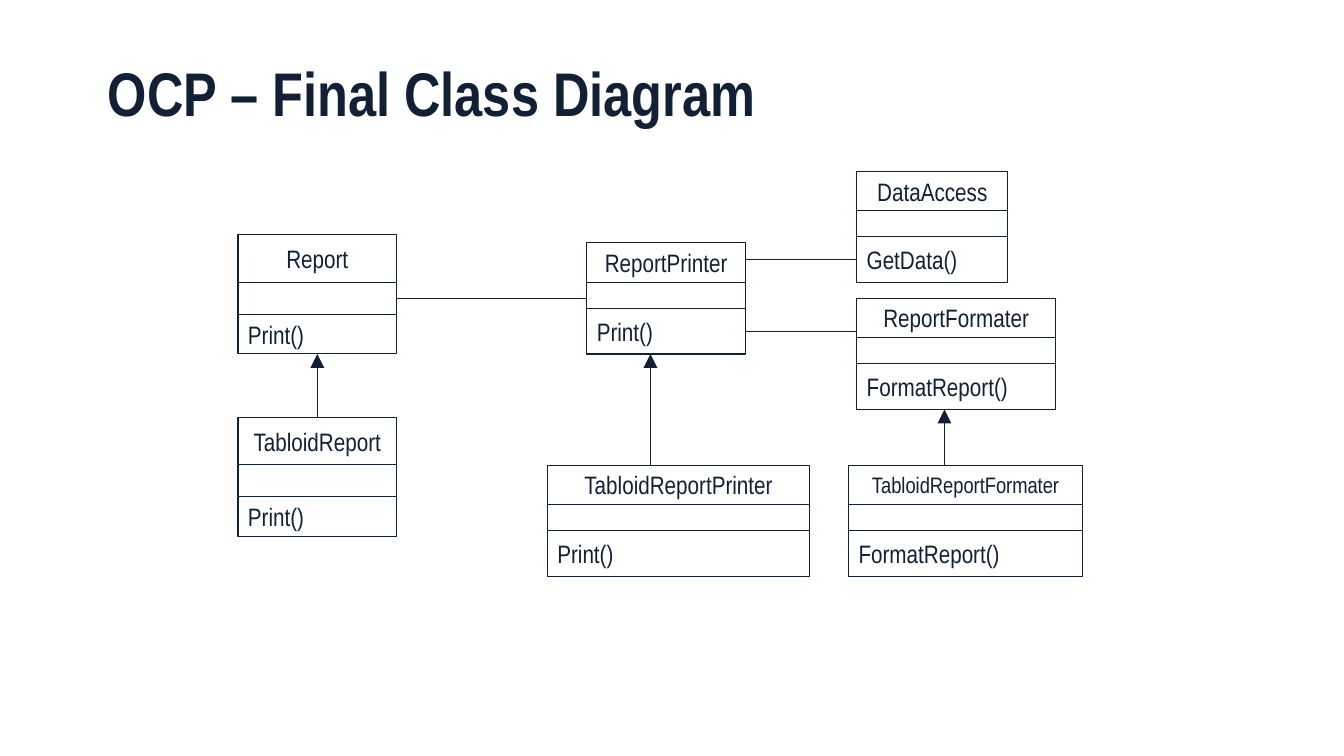
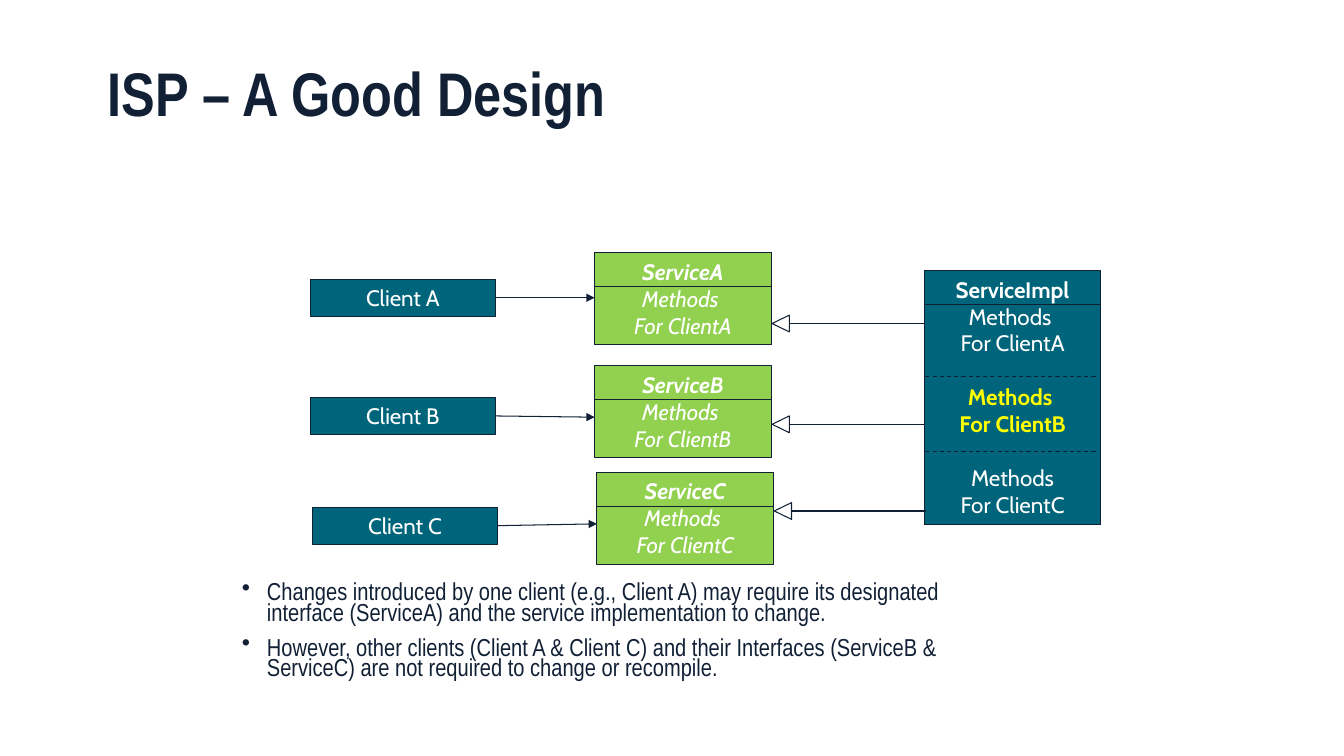
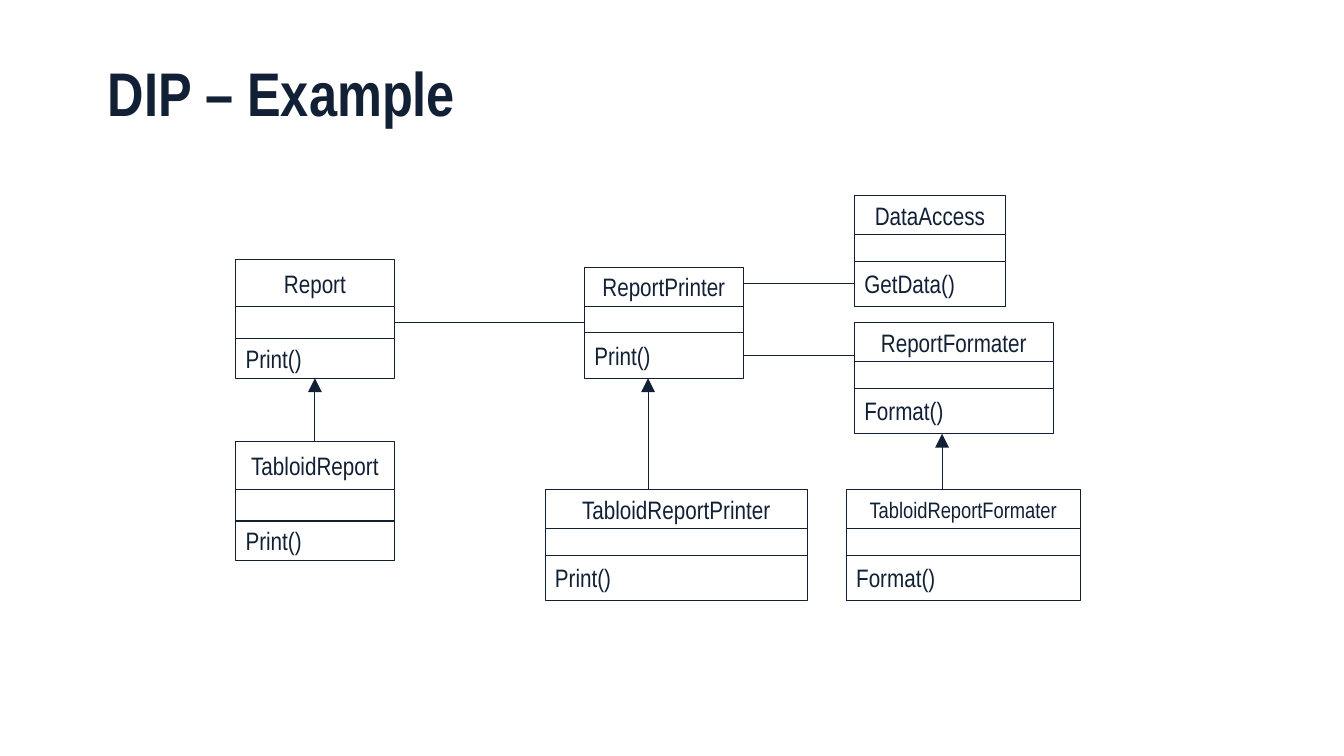
from lxml.etree import SubElement
from pptx import Presentation
from pptx.dml.color import RGBColor
from pptx.enum.dml import MSO_LINE as Dash
from pptx.enum.shapes import MSO_CONNECTOR as Link, MSO_SHAPE as Kind
from pptx.enum.text import MSO_ANCHOR as Anchor, PP_ALIGN as Align
from pptx.oxml.ns import qn
from pptx.util import Pt

# Shared style
INK, WHITE, TEAL, GREEN, YELLOW = "112035", "FFFFFF", "00647A", "92D050", "FFFF00"
NARROW, CABIN = "Arial Narrow", "Cabin"
TOP, LEFT, BOTTOM, RIGHT = range(4)
THIN = 0.75
ROW = 19.2  # one line of 16 pt Cabin

# Heights of the name, field and method parts of a class box
TALL = (34, 22.8, 28.3)
SHORT = (28, 18.8, 32.6)


def color(code):
    return RGBColor.from_string(code)


class Deck:
    def __init__(self):
        self.file = Presentation()
        self.file.slide_width, self.file.slide_height = Pt(960), Pt(540)
        self.slide = None

    def page(self, title):
        self.slide = self.file.slides.add_slide(self.file.slide_layouts[6])
        frame = self.note(70, 28.8, 820, 80.6, Anchor.MIDDLE)
        self.say(frame, title, 44, bold=True).line_spacing = 0.9

    def note(self, x, y, w, h, anchor=Anchor.TOP):
        frame = self.slide.shapes.add_textbox(Pt(x), Pt(y), Pt(w), Pt(h)).text_frame
        frame.word_wrap = True
        frame.vertical_anchor = anchor
        return frame

    def say(self, frame, text, size, font=NARROW, ink=INK, bold=False,
            italic=False, align=Align.LEFT, before=0):
        para = frame.paragraphs[0]
        if para.runs:
            para = frame.add_paragraph()
        para.alignment = align
        para.space_before = Pt(before)
        run = para.add_run()
        run.text = text
        face = run.font
        face.name, face.size, face.bold, face.italic = font, Pt(size), bold, italic
        face.color.rgb = color(ink)
        return para

    def bullet(self, frame, text):
        para = self.say(frame, text, 17.5, before=10)
        para.line_spacing = 0.7
        props = para._p.get_or_add_pPr()
        props.set("marL", str(Pt(18)))
        props.set("indent", str(-Pt(18)))
        SubElement(props, qn("a:buChar")).set("char", "•")

    def paint(self, shape, fill):
        shape.shadow.inherit = False
        shape.fill.solid()
        shape.fill.fore_color.rgb = color(fill)
        shape.line.color.rgb = color(INK)
        shape.line.width = Pt(THIN)

    def box(self, x, y, w, h, fill=WHITE, home=None):
        home = home or self.slide.shapes
        shape = home.add_shape(Kind.RECTANGLE, Pt(x), Pt(y), Pt(w), Pt(h))
        self.paint(shape, fill)
        shape.text_frame.vertical_anchor = Anchor.TOP
        shape.text_frame.word_wrap = True
        return shape

    def label(self, frame, text, **style):
        self.say(frame, text, 16, CABIN, **{"ink": WHITE, "align": Align.CENTER, **style})

    def entity(self, x, y, w, parts, name, method, size=18):
        """Three stacked boxes: name, empty fields, method."""
        home = self.slide.shapes.add_group_shape().shapes
        texts = ((name, size, Align.CENTER), None, (method, 18, Align.LEFT))
        boxes = []
        for high, text in zip(parts, texts):
            part = self.box(x, y, w, high, home=home)
            if text:
                words, points, align = text
                part.text_frame.word_wrap = False
                part.text_frame.vertical_anchor = Anchor.MIDDLE
                self.say(part.text_frame, words, points, align=align)
            boxes.append(part)
            y += high
        return boxes

    def line(self, x1, y1, x2, y2, start=None, end=None, arrow=None, dash=False):
        """start and end are (box, side) pairs; arrow is the size of the tip."""
        wire = self.slide.shapes.add_connector(
            Link.STRAIGHT, Pt(x1), Pt(y1), Pt(x2), Pt(y2))
        if start:
            wire.begin_connect(*start)
        if end:
            wire.end_connect(*end)
        wire.line.color.rgb = color(INK)
        wire.line.width = Pt(THIN)
        if dash:
            wire.line.dash_style = Dash.DASH
        props = wire.element.spPr
        if arrow:
            tip = SubElement(props.find(qn("a:ln")), qn("a:tailEnd"))
            for key, value in (("type", "triangle"), ("w", arrow), ("len", arrow)):
                tip.set(key, value)
        SubElement(props, qn("a:effectLst"))

    def tip(self, x, y):
        """Hollow triangle that points left."""
        pen = self.slide.shapes.build_freeform(Pt(x), Pt(y))
        pen.add_line_segments([(Pt(x + 12.3), Pt(y - 6)), (Pt(x + 12.3), Pt(y + 6))])
        self.paint(pen.convert_to_shape(), WHITE)


def classes(deck, title, x, y, action):
    """Report class diagram; x and y are the corner of the Report class."""
    deck.page(title)
    mid, far = x + 249.2, x + 442
    low = y + 164.6

    # Classes
    data = deck.entity(far, y - 45.4, 108, SHORT, "DataAccess", "GetData()")
    deck.entity(far, y + 45.3, 142, SHORT, "ReportFormater", action)
    printer = deck.entity(mid, y + 5.7, 113.3, SHORT, "ReportPrinter", "Print()")
    report = deck.entity(x, y, 113.3, TALL, "Report", "Print()")
    tabloid = deck.entity(x, y + 130.3, 113.3, TALL, "TabloidReport", "Print()")
    deck.entity(x + 221, low, 187.4, SHORT, "TabloidReportPrinter", "Print()")
    deck.entity(x + 436.2, low, 167.2, SHORT, "TabloidReportFormater", action, 16)

    # Associations
    edge = mid + 113.3
    row = y + 17.7
    deck.line(edge, row, far, row, end=(data[2], LEFT))
    row = y + 68.8
    deck.line(edge, row, far, row, start=(printer[2], RIGHT))
    row = y + 45.4
    deck.line(x + 113.3, row, mid, row, start=(report[1], RIGHT))

    # Inheritance
    axis = x + 56.65
    deck.line(axis, y + 130.3, axis, y + 85.1, arrow="lg",
              start=(tabloid[0], TOP), end=(report[2], BOTTOM))
    for axis, base in ((x + 294.6, y + 85.1), (x + 504.6, y + 124.7)):
        deck.line(axis, low, axis, base, arrow="lg")


def interfaces(deck):
    deck.page("ISP – A Good Design")

    # Conclusions
    frame = deck.note(165.6, 414, 564, 101.5)
    deck.bullet(frame, "Changes introduced by one client (e.g., Client A) may require its "
                "designated interface (ServiceA) and the service implementation to change.")
    deck.bullet(frame, "However, other clients (Client A & Client C) and their Interfaces "
                "(ServiceB & ServiceC) are not required to change or recompile.")

    # Implementation
    frame = deck.box(660.2, 193.5, 126.2, 181.5, TEAL).text_frame
    deck.label(frame, "ServiceImpl", bold=True)
    for key, first, gap, style in (
            ("A", "Methods ", 0, {}),
            ("B", "Methods ", ROW, {"ink": YELLOW, "bold": True}),
            ("C", "Methods", ROW, {})):
        deck.label(frame, first, before=gap, **style)
        deck.label(frame, f"For Client{key}", **style)
    deck.line(660.2, 217.4, 786.4, 217.4)
    for y in (268.6, 322.6):
        deck.line(782.6, y, 660.2, y, dash=True)

    # Clients and their services: shift, client top, service top, arrow end, tip
    for key, shift, client, top, end, tip in (
            ("A", 0, 199.4, 180.7, 212.7, 231.1),
            ("B", 0, 283.8, 261.4, 298, 303.1),
            ("C", 1.6, 362.2, 337.5, 374.2, 365)):
        x = 424.8 + shift
        user = deck.box(221.8 + shift, client, 132, 26.6, TEAL)
        deck.label(user.text_frame, f"Client {key}")
        frame = deck.box(x, top, 126, 65.7, GREEN).text_frame
        deck.label(frame, f"Service{key}", bold=True, italic=True)
        deck.label(frame, "Methods ", italic=True)
        deck.label(frame, f"For Client{key}", italic=True)
        deck.line(x, top + 24.2, x + 126, top + 24.2)
        deck.line(353.8 + shift, client + 13.3, x, end, start=(user, RIGHT), arrow="med")
        deck.tip(x + 126.7, tip)
        deck.line(x + 139, tip, x + 235.4, tip)


def main():
    deck = Deck()
    classes(deck, "OCP – Final Class Diagram", 170, 167.8, "FormatReport()")
    interfaces(deck)
    classes(deck, "DIP – Example", 168.3, 185.1, "Format()")
    deck.file.save("out.pptx")


if __name__ == "__main__":
    main()
